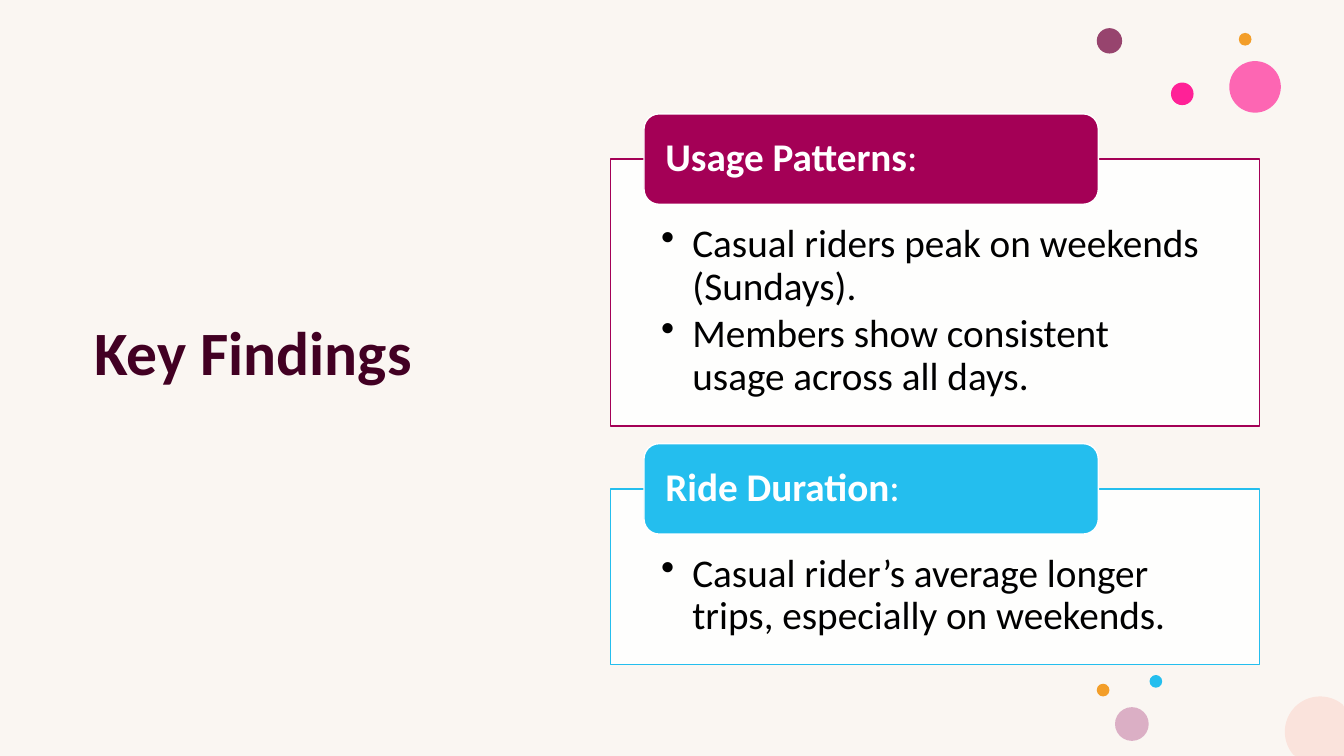
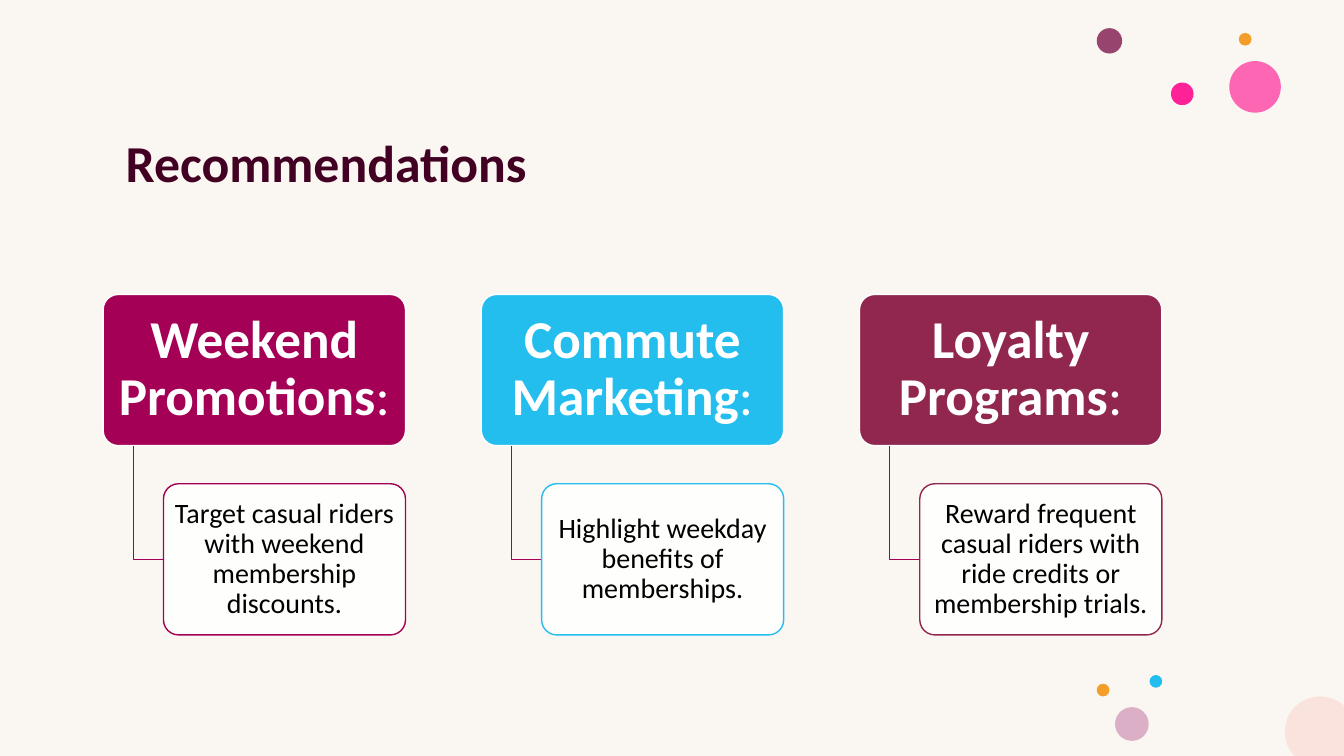
from dataclasses import dataclass
from math import cos, radians, sin

from lxml.etree import SubElement as Sub
from pptx import Presentation
from pptx.dml.color import RGBColor as Rgb
from pptx.enum.shapes import MSO_SHAPE as Kind
from pptx.enum.text import MSO_ANCHOR as Anchor, PP_ALIGN as Align
from pptx.oxml.ns import qn
from pptx.util import Cm, Pt


@dataclass(frozen=True)
class Theme:
    font: str = "Calibri"
    back: str = "FAF6F2"
    title: str = "420023"
    text: str = "000000"
    white: str = "FFFFFF"
    berry: str = "A40056"
    sky: str = "24BEEE"
    wine: str = "91274F"
    plum: str = "97446E"
    pink: str = "FF2F9C"
    rose: str = "FF2197"
    gold: str = "F39E29"
    lilac: str = "DBAFC5"
    peach: str = "FAE3DC"
    big: int = 44
    mid: int = 37
    head: int = 38
    body: int = 28
    note: int = 20
    rule: int = 1


T = Theme()
WIDE, HIGH = 33.87, 19.05

# Dots: left, top, size, colour, opacity in percent
DOTS = (
    (27.64, 0.71, 0.64, T.plum, 100),
    (30.98, 1.54, 1.3, T.pink, 72),
    (31.22, 0.83, 0.32, T.gold, 100),
    (29.51, 2.08, 0.57, T.rose, 100),
    (28.97, 17.01, 0.32, T.sky, 100),
    (28.1, 17.82, 0.85, T.lilac, 100),
    (27.64, 17.23, 0.32, T.gold, 100),
)


# Shapes
def paint(shape, fill=None, line=None, alpha=100):
    shape.shadow.inherit = False
    if fill:
        shape.fill.solid()
        shape.fill.fore_color.rgb = Rgb.from_string(fill)
        if alpha < 100:
            color = shape.fill._xPr.find(".//" + qn("a:srgbClr"))
            Sub(color, qn("a:alpha"), val=str(alpha * 1000))
    else:
        shape.fill.background()
    if line:
        shape.line.color.rgb = Rgb.from_string(line)
        shape.line.width = Pt(T.rule)
    else:
        shape.line.fill.background()
    return shape


def add_box(slide, kind, area, fill, line=None, alpha=100):
    shape = slide.shapes.add_shape(kind, *map(Cm, area))
    return paint(shape, fill, line, alpha)


def add_path(slide, points, fill=None, line=None):
    first, *rest = [(Cm(x), Cm(y)) for x, y in points]
    path = slide.shapes.build_freeform(*first)
    path.add_line_segments(rest, close=bool(fill))
    return paint(path.convert_to_shape(), fill, line)


# Text
def set_frame(shape, pads, anchor=Anchor.MIDDLE):
    frame = shape.text_frame
    frame.word_wrap = True
    frame.vertical_anchor = anchor
    left, top, right, base = map(Cm, pads)
    frame.margin_left, frame.margin_right = left, right
    frame.margin_top, frame.margin_bottom = top, base
    return frame


def style(para, size, color, bold=False, align=Align.LEFT):
    para.alignment = align
    para.line_spacing = 0.9
    for run in para.runs:
        font = run.font
        font.name, font.size, font.bold = T.font, Pt(size), bold
        font.color.rgb = Rgb.from_string(color)


def add_bullet(para):
    para.space_after = Pt(4)
    props = para._p.get_or_add_pPr()
    props.set("marL", str(Cm(0.79)))
    props.set("indent", str(-Cm(0.79)))
    Sub(props, qn("a:buChar"), char="•")


def add_label(shape, text, size, pads, align=Align.LEFT):
    para = set_frame(shape, pads).paragraphs[0]
    para.text = text
    colon = para.add_run()
    colon.text = ":"
    style(para, size, T.white, True, align)
    colon.font.bold = False


# Shared slide: background, dots, corner disc and title
def add_slide(deck, title, area, size):
    slide = deck.slides.add_slide(deck.slide_layouts[6])
    slide.background.fill.solid()
    slide.background.fill.fore_color.rgb = Rgb.from_string(T.back)
    for left, top, span, color, alpha in DOTS:
        add_box(slide, Kind.OVAL, (left, top, span, span), color, alpha=alpha)
    turns = [radians(step) for step in range(0, 360, 5)]
    disc = [(min(33.27 + 0.89 * cos(a), WIDE),
             min(18.44 + 0.89 * sin(a), HIGH)) for a in turns]
    add_path(slide, disc, T.peach)
    box = slide.shapes.add_textbox(*map(Cm, area))
    para = set_frame(box, (0.25, 0.13, 0.25, 0.13)).paragraphs[0]
    para.text = title
    style(para, size, T.title, True)
    return slide


# Panel with a tag on its top edge
def add_panel(slide, top, high, color, label, points):
    left, wide = 15.39, 16.36
    panel = add_box(slide, Kind.RECTANGLE, (left, top, wide, high),
                    T.white, color, 90)
    frame = set_frame(panel, (1.27, 1.63, 1.27, 0.56), Anchor.TOP)
    frame.text = "\n".join(points)
    for para in frame.paragraphs:
        style(para, T.body, T.text)
        add_bullet(para)
    tag = add_box(slide, Kind.ROUNDED_RECTANGLE,
                  (left + 0.84, top - 1.14, 11.45, 2.28), color, T.white)
    add_label(tag, label, T.body, (0.43, 0, 0.43, 0))


# Heading card with a note hanging from it
def add_card(slide, left, color, label, text):
    top, wide, high = 7.42, 7.62, 3.81
    step, drop = 0.76, 4.77
    head = add_box(slide, Kind.ROUNDED_RECTANGLE, (left, top, wide, high),
                   color, T.white)
    add_label(head, label, T.head, (0.2, 0.13, 0.2, 0.13), Align.CENTER)
    stem, mid = left + step, top + drop + high / 2
    add_path(slide, [(stem, top + high), (stem, mid), (stem + step, mid)],
             line=T.berry)
    note = add_box(slide, Kind.ROUNDED_RECTANGLE,
                   (stem + step, top + drop, wide - 2 * step, high),
                   T.white, color, 90)
    for shape in (head, note):
        shape.adjustments[0] = 0.1
    para = set_frame(note, (0.1, 0.08, 0.1, 0.08)).paragraphs[0]
    para.text = text
    style(para, T.note, T.text, align=Align.CENTER)


def add_finds(deck):
    slide = add_slide(deck, "Key Findings", (2.13, 1.8, 12.8, 14.33), T.big)
    panels = (
        (6.73, T.berry, "Usage Patterns",
         ("Casual riders peak on weekends (Sundays).",
          "Members show consistent usage across all days.")),
        (4.42, T.sky, "Ride Duration",
         ("Casual rider’s average longer trips, especially on weekends.",)),
    )
    top, gap = 4.01, 1.58
    for high, *rest in panels:
        add_panel(slide, top, high, *rest)
        top += high + gap


def add_plans(deck):
    slide = add_slide(deck, "Recommendations", (2.92, 0.73, 12.8, 6.88), T.mid)
    cards = (
        (T.berry, "Weekend Promotions",
         "Target casual riders with weekend membership discounts."),
        (T.sky, "Commute Marketing",
         "Highlight weekday benefits of memberships."),
        (T.wine, "Loyalty Programs",
         "Reward frequent casual riders with ride credits or "
         "membership trials."),
    )
    for col, card in enumerate(cards):
        add_card(slide, 2.6 + 9.53 * col, *card)


def main():
    deck = Presentation()
    deck.slide_width, deck.slide_height = Cm(WIDE), Cm(HIGH)
    add_finds(deck)
    add_plans(deck)
    deck.save("out.pptx")


if __name__ == "__main__":
    main()
